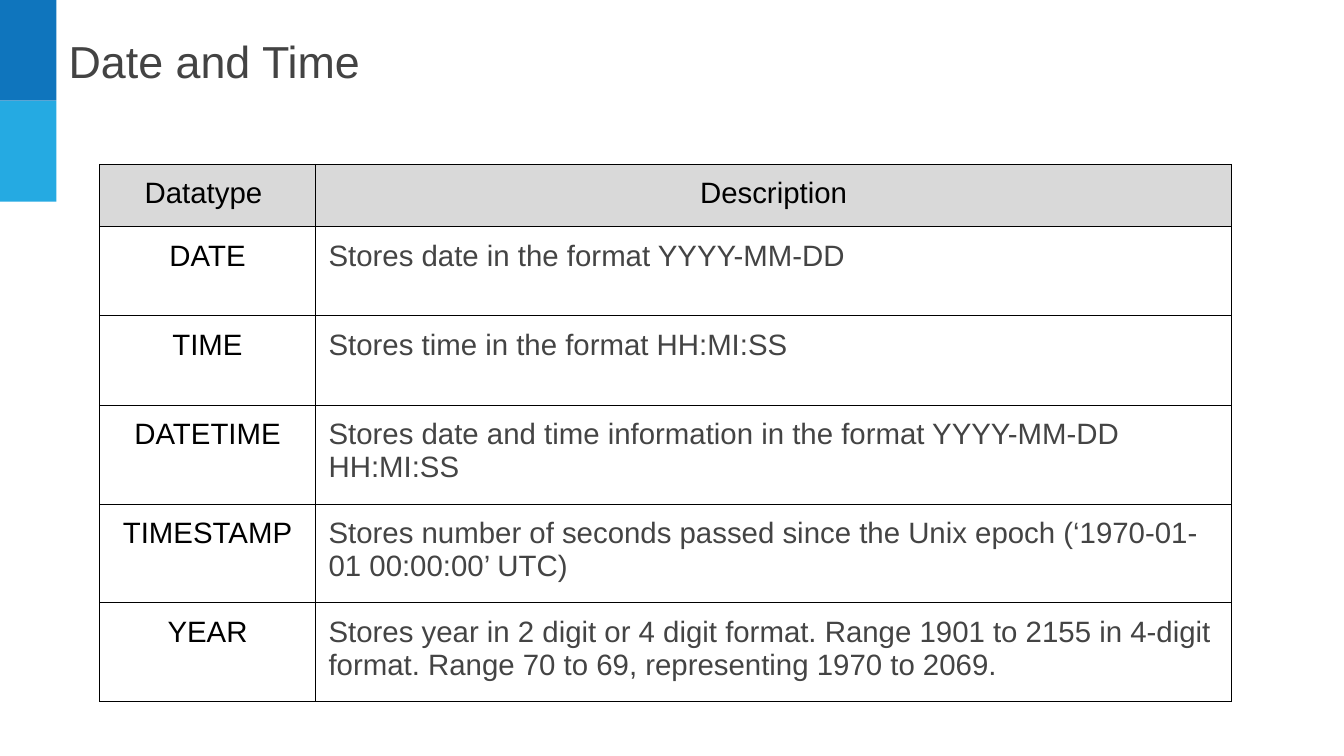
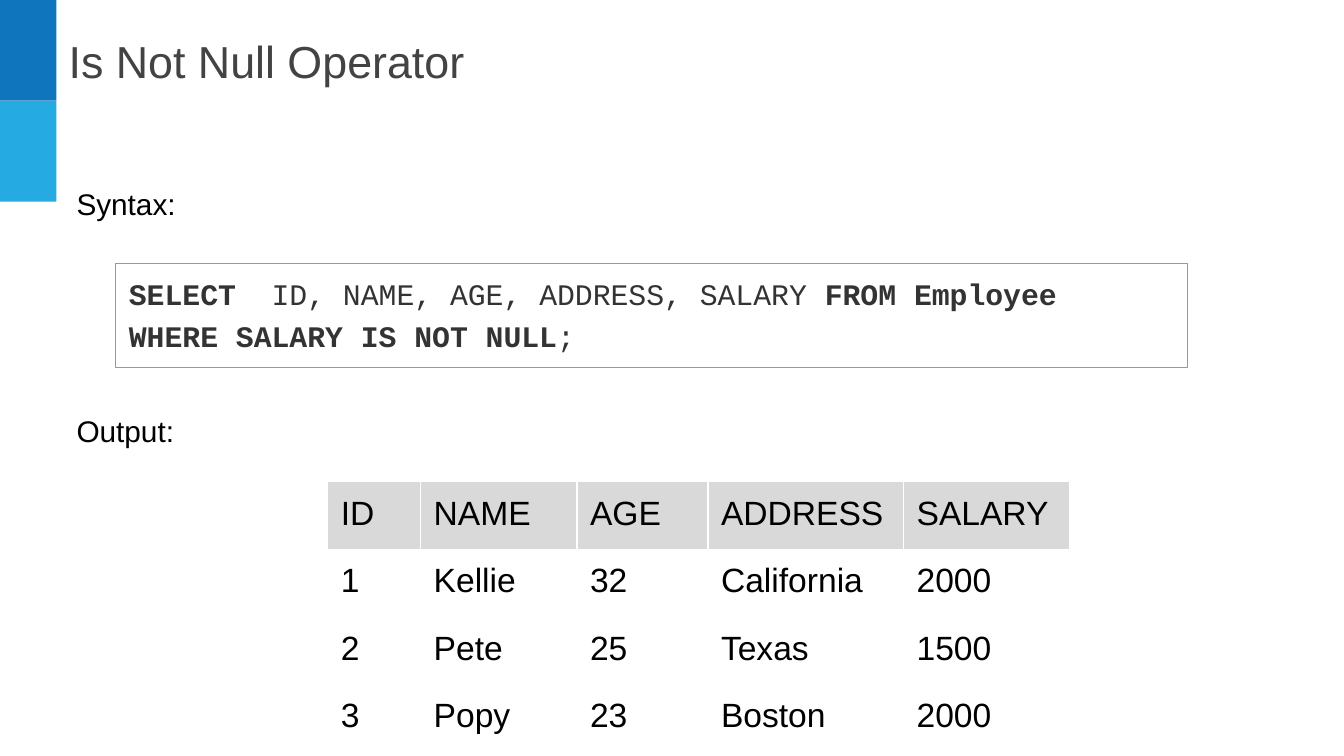
import pptx
import pptx.dml.color
import pptx.enum.shapes
import pptx.enum.text
import pptx.oxml
import pptx.oxml.ns
import pptx.util

Cm = pptx.util.Cm
Pt = pptx.util.Pt
RGBColor = pptx.dml.color.RGBColor
Align = pptx.enum.text.PP_ALIGN
Anchor = pptx.enum.text.MSO_ANCHOR
RECT = pptx.enum.shapes.MSO_SHAPE.RECTANGLE

NAVY = RGBColor(0x0F, 0x75, 0xBD)
SKY = RGBColor(0x25, 0xAA, 0xE2)
SLATE = RGBColor(0x43, 0x43, 0x43)
GREY = RGBColor(0x44, 0x44, 0x44)
DARK = RGBColor(0x33, 0x33, 0x33)
EDGE = RGBColor(0x99, 0x99, 0x99)
HEAD = RGBColor(0xD9, 0xD9, 0xD9)
BLACK = RGBColor(0, 0, 0)
WHITE = RGBColor(0xFF, 0xFF, 0xFF)


class Deck:
    sans = "Arial"
    mono = "Courier New"
    inset = Cm(0.33)

    def __init__(self):
        self.prs = pptx.Presentation()
        self.prs.slide_width = Cm(33.87)
        self.prs.slide_height = Cm(19.05)
        self.slide = None

    def pad(self, box):
        box.margin_left = box.margin_right = self.inset
        box.margin_top = box.margin_bottom = self.inset
        box.vertical_anchor = Anchor.TOP

    def style(self, para, size, color, align=Align.LEFT, face=None):
        para.alignment = align
        for run in para.runs:
            run.font.name = face or self.sans
            run.font.size = Pt(size)
            run.font.color.rgb = color

    def page(self, text):
        self.slide = self.prs.slides.add_slide(self.prs.slide_layouts[5])
        title = self.slide.shapes.title
        title.left, title.top = Cm(1.4), Cm(0.53)
        title.width, title.height = Cm(27.58), Cm(1.96)
        frame = title.text_frame
        frame.text = text
        frame.auto_size = pptx.enum.text.MSO_AUTO_SIZE.NONE
        self.pad(frame)
        self.style(frame.paragraphs[0], 32, SLATE)
        for row, color in enumerate((NAVY, SKY)):
            self.band(row * 2.54, color)

    def band(self, top, color):
        shape = self.slide.shapes.add_shape(RECT, 0, Cm(top), Cm(1.42), Cm(2.54))
        shape.shadow.inherit = False
        shape.fill.solid()
        shape.fill.fore_color.rgb = color
        shape.line.fill.background()

    def label(self, top, text):
        box = self.slide.shapes.add_textbox(Cm(1.6), Cm(top), Cm(3.61), Cm(1.52))
        frame = box.text_frame
        frame.word_wrap = True
        frame.text = text
        self.pad(frame)
        self.style(frame.paragraphs[0], 21.3, BLACK, Align.JUSTIFY)

    def code(self, left, top, width, height, lines):
        shape = self.slide.shapes.add_shape(
            RECT, Cm(left), Cm(top), Cm(width), Cm(height))
        shape.shadow.inherit = False
        shape.fill.background()
        shape.line.color.rgb = EDGE
        shape.line.width = Pt(0.75)
        frame = shape.text_frame
        frame.word_wrap = True
        self.pad(frame)
        for row, parts in enumerate(lines):
            para = frame.add_paragraph() if row else frame.paragraphs[0]
            if row:
                para.line_spacing = 1.15
            for text, bold in parts:
                run = para.add_run()
                run.text = text
                run.font.bold = bold
            self.style(para, 21.3, DARK, face=self.mono)

    def table(self, left, top, cols, rows, data, size):
        grid = self.slide.shapes.add_table(
            len(rows), len(cols), Cm(left), Cm(top),
            Cm(sum(cols)), Cm(sum(rows))).table
        grid.first_row = False
        grid.horz_banding = False
        for col, width in zip(grid.columns, cols):
            col.width = Cm(width)
        for row, height in zip(grid.rows, rows):
            row.height = Cm(height)
        for r, texts in enumerate(data):
            for c, text in enumerate(texts):
                cell = grid.cell(r, c)
                cell.text = text
                cell.fill.solid()
                cell.fill.fore_color.rgb = WHITE if r else HEAD
                self.pad(cell)
                self.style(cell.text_frame.paragraphs[0], size, BLACK)
        return grid

    def border(self, cell):
        props = cell._tc.get_or_add_tcPr()
        for spot, side in enumerate("LRTB"):
            line = pptx.oxml.parse_xml(
                f'<a:ln{side} {pptx.oxml.ns.nsdecls("a")} w="{Pt(0.75)}">'
                f'<a:solidFill><a:srgbClr val="{BLACK}"/></a:solidFill>'
                f'</a:ln{side}>')
            props.insert(spot, line)


def dates(deck):
    deck.page("Date and Time")
    data = [
        ("Datatype ", "Description"),
        ("DATE", "Stores date in the format YYYY-MM-DD"),
        ("TIME", "Stores time in the format HH:MI:SS"),
        ("DATETIME", "Stores date and time information in the format "
                     "YYYY-MM-DD HH:MI:SS"),
        ("TIMESTAMP", "Stores number of seconds passed since the Unix epoch "
                      "(‘1970-01-01 00:00:00’ UTC)"),
        ("YEAR", "Stores year in 2 digit or 4 digit format. Range 1901 to 2155 "
                 "in 4-digit format. Range 70 to 69, representing 1970 to 2069."),
    ]
    rows = [1.57] + [2.25] * 2 + [2.49] * 3
    grid = deck.table(2.51, 4.14, [5.44, 23.09], rows, data, 21)
    for r in range(len(rows)):
        for c in range(2):
            cell = grid.cell(r, c)
            deck.border(cell)
            para = cell.text_frame.paragraphs[0]
            if r and c:
                deck.style(para, 21, GREY)
            else:
                para.alignment = Align.CENTER


def nulls(deck):
    deck.page("Is Not Null Operator")
    deck.label(4.34, "Syntax:")
    deck.code(2.92, 6.63, 27, 2.64, [
        [("SELECT", True), ("  ID, NAME, AGE, ADDRESS, SALARY ", False),
         ("FROM Employee", True)],
        [("WHERE SALARY IS NOT NULL", True), (";", False)],
    ])
    data = [
        ("ID", "NAME", "AGE", "ADDRESS", "SALARY"),
        ("1", "Kellie", "32", "California", "2000"),
        ("2", "Pete", "25", "Texas", "1500"),
        ("3", "Popy", "23", "Boston", "2000"),
    ]
    cols = [2.34, 3.94, 3.3, 4.93, 4.19]
    deck.table(8.26, 12.14, cols, [1.7] * 4, data, 24)
    deck.label(10.08, "Output:")


def main():
    deck = Deck()
    dates(deck)
    nulls(deck)
    deck.prs.save("out.pptx")


if __name__ == "__main__":
    main()
